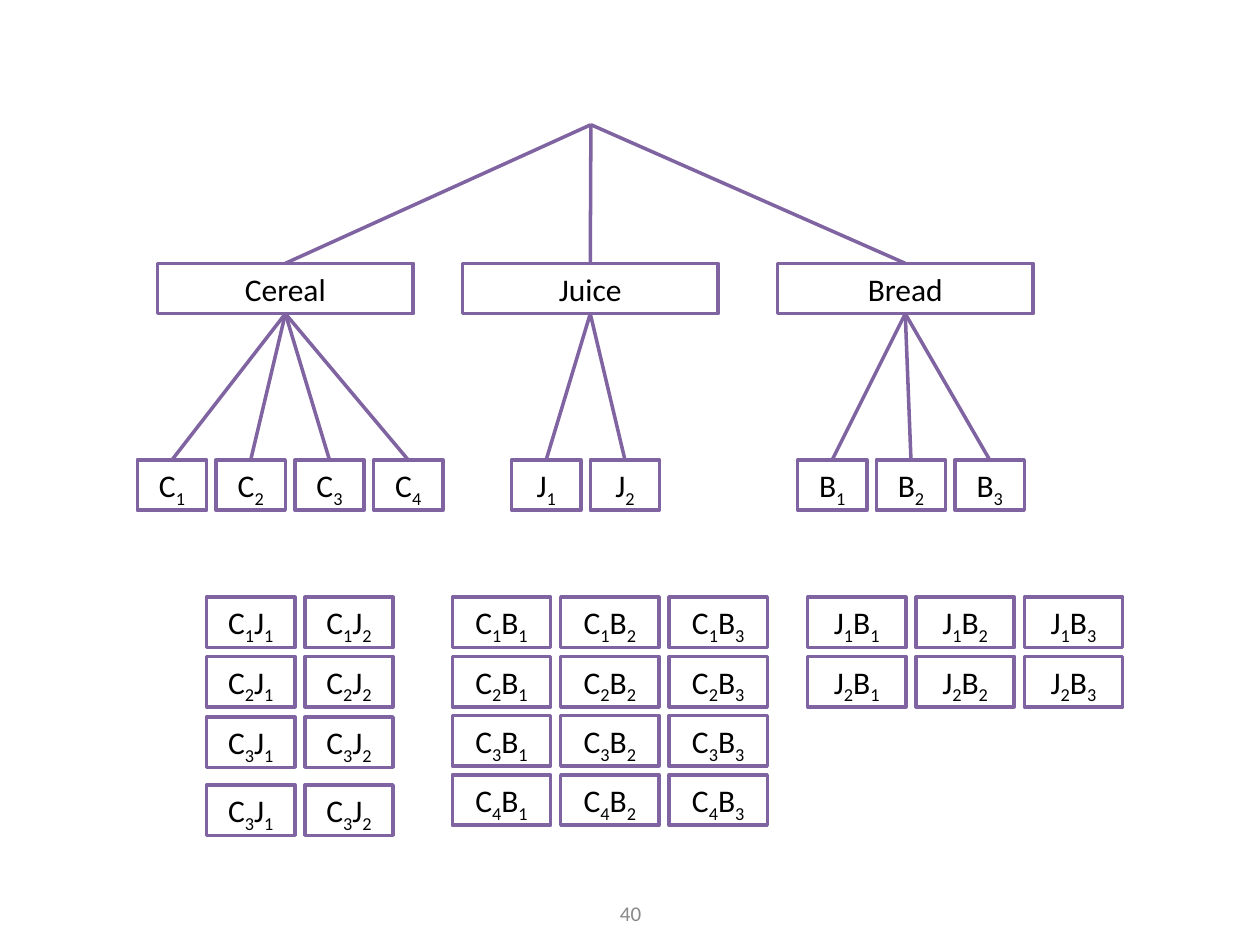
from lxml.etree import SubElement
from pptx import Presentation
from pptx.dml.color import RGBColor
from pptx.enum.shapes import MSO_CONNECTOR as CONNECTOR, MSO_SHAPE as SHAPE
from pptx.enum.text import MSO_ANCHOR as ANCHOR, MSO_AUTO_SIZE as AUTO_SIZE, PP_ALIGN as ALIGN
from pptx.oxml.ns import qn
from pptx.util import Inches, Pt

COLORS = {"line": "8064A2", "fill": "FFFFFF", "text": "000000", "number": "898989"}
FONT = "Calibri"
BOX_HEIGHT = 0.4
ROOT = (4.69, 0.99)
CATEGORY_TOP, CATEGORY_WIDTH = 2.09, 2.03
ITEM_TOP, ITEM_WIDTH, ITEM_STEP = 3.65, 0.55, 0.625

# name, left of category box, item letter, left of first item, item count
CATEGORIES = [
    ("Cereal", 1.25, "C", 1.09, 4),
    ("Juice", 3.67, "J", 4.06, 2),
    ("Bread", 6.17, "B", 6.33, 3),
]

# letters, left, box width, column step, column count, (row top, row index)
PAIR_GRIDS = [
    ("CJ", 1.64, 0.7, 0.78, 2, [(4.74, 1), (5.21, 2), (5.69, 3), (6.23, 3)]),
    ("CB", 3.59, 0.78, 0.86, 3, [(4.74, 1), (5.21, 2), (5.68, 3), (6.15, 4)]),
    ("JB", 6.41, 0.78, 0.86, 3, [(4.74, 1), (5.21, 2)]),
]


def color(name):
    return RGBColor.from_string(COLORS[name])


def add_span(para, text, size=18, tone="text", subscript=False):
    span = para.add_run()
    span.text = text
    span.font.name = FONT
    span.font.size = Pt(size)
    span.font.color.rgb = color(tone)
    if subscript:
        span.font._element.set("baseline", "-25000")


def add_box(page, left, top, width, label):
    """Add an outlined box; digits in the label become subscripts."""
    box = page.shapes.add_shape(
        SHAPE.RECTANGLE, Inches(left), Inches(top), Inches(width), Inches(BOX_HEIGHT))
    box.shadow.inherit = False
    box.fill.solid()
    box.fill.fore_color.rgb = color("fill")
    box.line.color.rgb = color("line")
    box.line.width = Pt(2)
    frame = box.text_frame
    frame.word_wrap = True
    frame.vertical_anchor = ANCHOR.TOP
    frame.auto_size = AUTO_SIZE.SHAPE_TO_FIT_TEXT
    para = frame.paragraphs[0]
    para.alignment = ALIGN.CENTER
    parts = [label] if label.isalpha() else label
    for part in parts:
        add_span(para, part, subscript=part.isdigit())


def add_branch(page, start, end):
    branch = page.shapes.add_connector(
        CONNECTOR.STRAIGHT, *(Inches(value) for value in (*start, *end)))
    branch.line.color.rgb = color("line")
    branch.line.width = Pt(2)
    SubElement(branch._element.spPr, qn("a:effectLst"))


def add_category(page, name, left, letter, first_left, count):
    """Add a category box, its items and the branches joining them."""
    center = left + CATEGORY_WIDTH / 2
    add_box(page, left, CATEGORY_TOP, CATEGORY_WIDTH, name)
    add_branch(page, (center, CATEGORY_TOP), ROOT)
    for index in range(count):
        item_left = first_left + index * ITEM_STEP
        add_box(page, item_left, ITEM_TOP, ITEM_WIDTH, f"{letter}{index + 1}")
        add_branch(page, (center, CATEGORY_TOP + BOX_HEIGHT),
                   (item_left + ITEM_WIDTH / 2, ITEM_TOP))


def add_pair_grid(page, letters, left, width, step, columns, rows):
    first, second = letters
    for top, row in rows:
        for column in range(columns):
            add_box(page, left + column * step, top, width,
                    f"{first}{row}{second}{column + 1}")


def add_page_number(page, number):
    box = page.shapes.add_textbox(Inches(3.42), Inches(7.05), Inches(3.17), Inches(0.4))
    frame = box.text_frame
    frame.word_wrap = True
    frame.vertical_anchor = ANCHOR.MIDDLE
    para = frame.paragraphs[0]
    para.alignment = ALIGN.CENTER
    add_span(para, number, size=12, tone="number")


def main():
    deck = Presentation()
    deck.slide_width, deck.slide_height = Inches(10), Inches(7.5)
    page = deck.slides.add_slide(deck.slide_layouts[6])
    add_page_number(page, "40")
    for category in CATEGORIES:
        add_category(page, *category)
    for grid in PAIR_GRIDS:
        add_pair_grid(page, *grid)
    deck.save("out.pptx")


if __name__ == "__main__":
    main()
